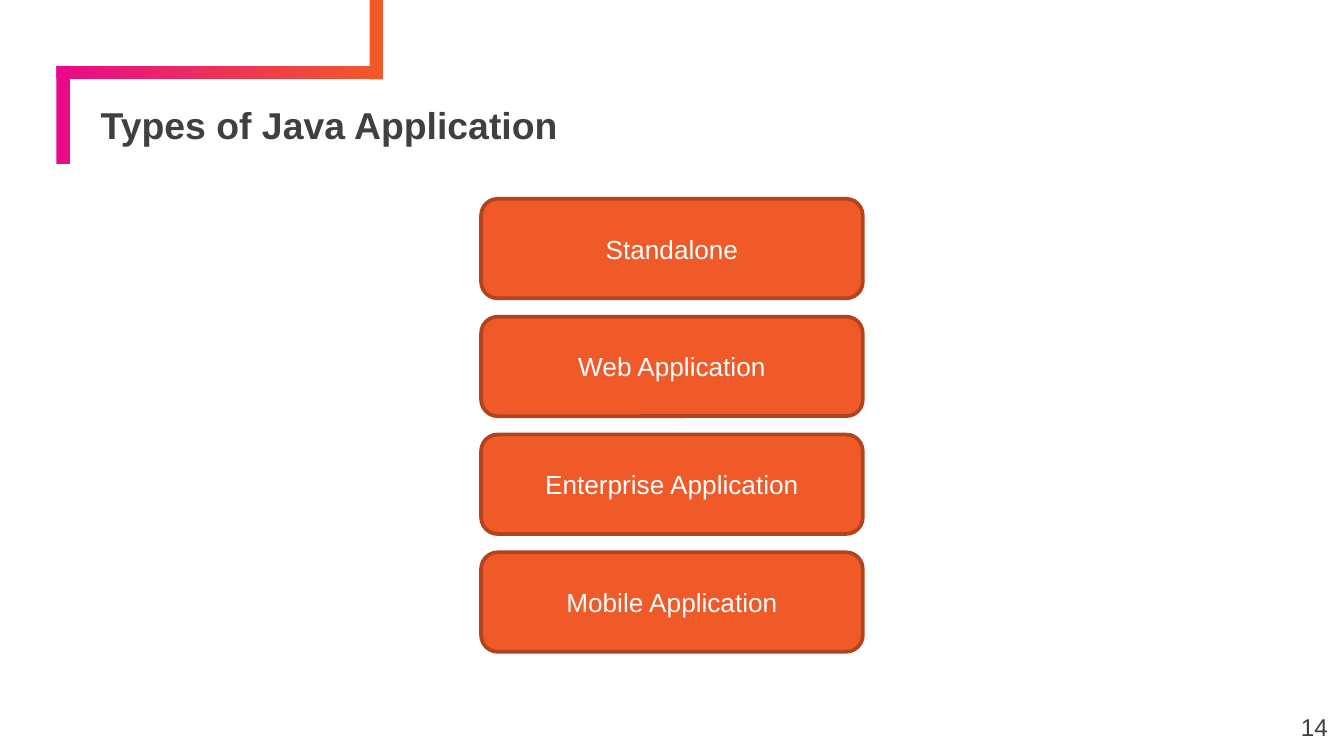
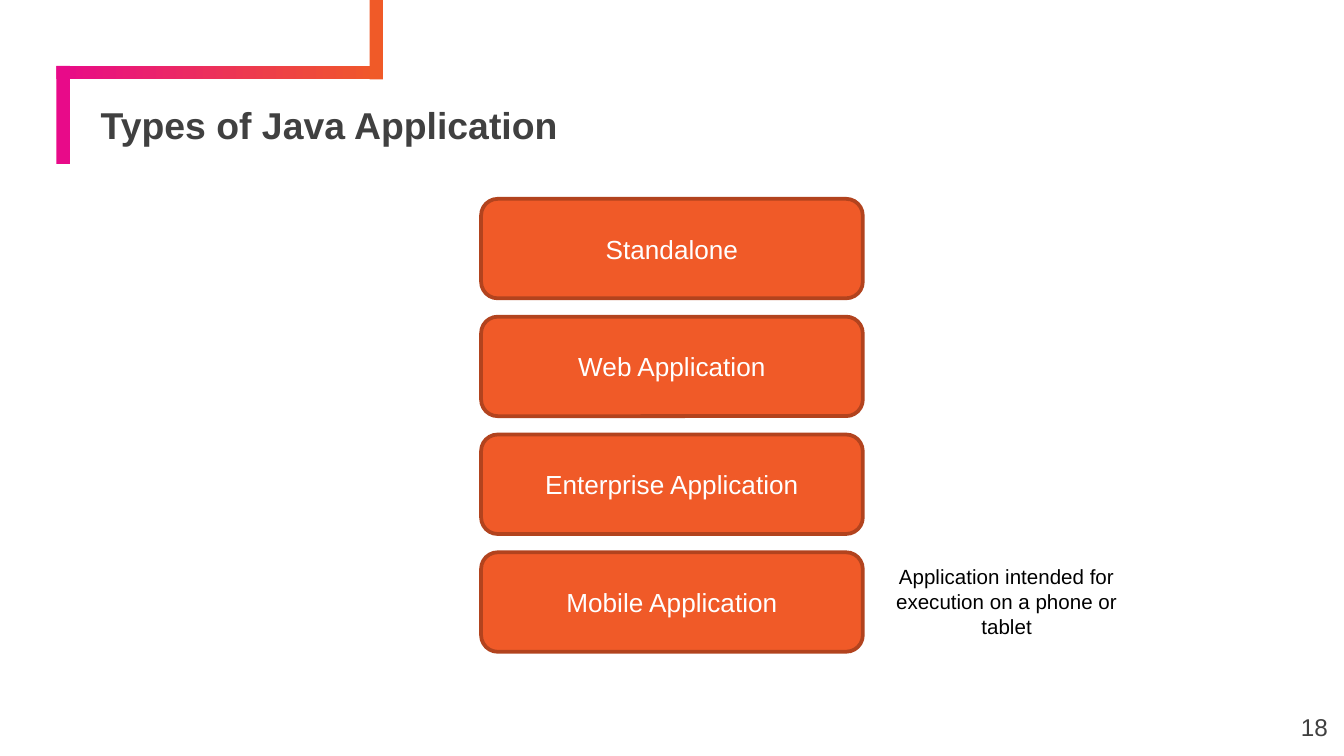
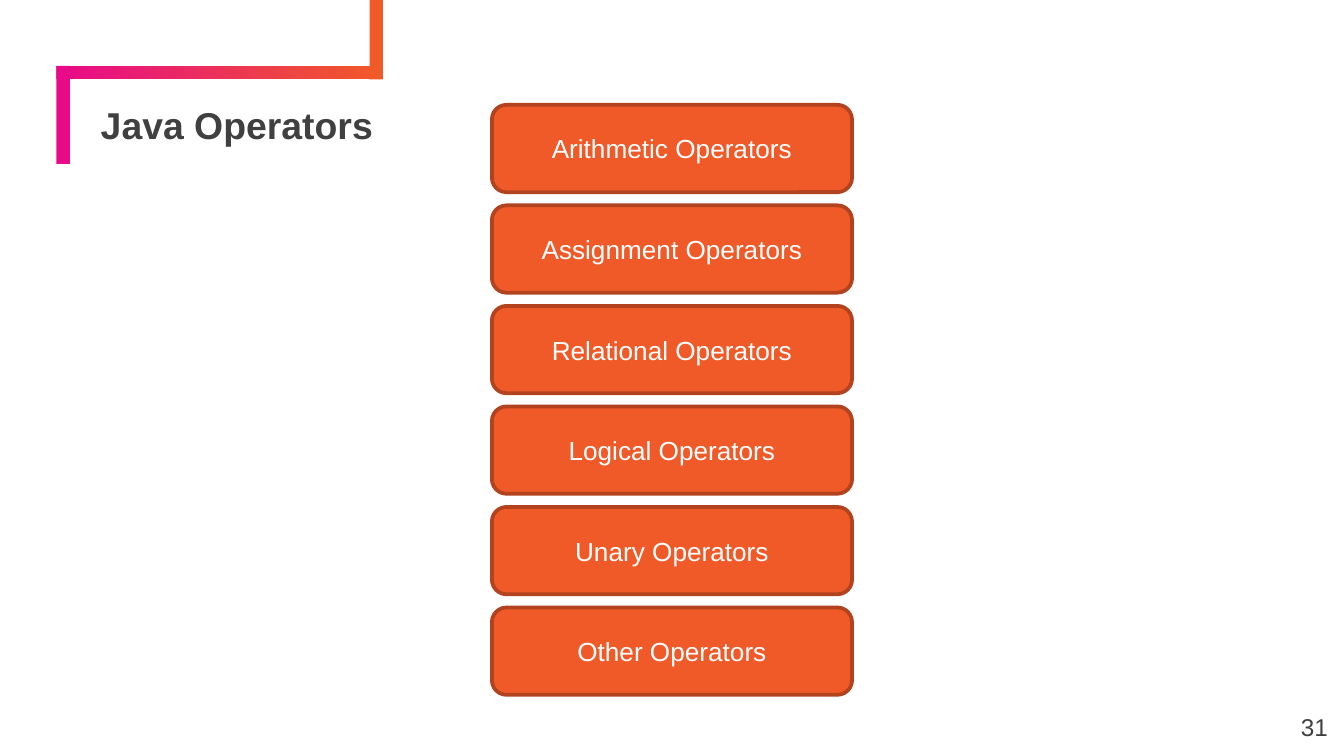
from dataclasses import dataclass

from pptx import Presentation
from pptx.dml.color import RGBColor
from pptx.enum.shapes import MSO_SHAPE as Shape
from pptx.enum.text import MSO_ANCHOR as Anchor, MSO_AUTO_SIZE as AutoSize, PP_ALIGN as Align
from pptx.util import Inches, Pt


@dataclass(frozen=True)
class Theme:
    font: str = "Arial"
    orange: str = "F05A28"
    rust: str = "B2431E"
    pink: str = "E80A89"
    grey: str = "404040"
    white: str = "FFFFFF"
    black: str = "000000"
    title_size: int = 20
    option_size: int = 14
    number_size: int = 13
    remark_size: int = 11
    outline: int = 2
    bar: float = 0.1
    tight_insets: tuple = (0.08, 0.04)
    normal_insets: tuple = (0.1, 0.05)


def rgb(value):
    return RGBColor.from_string(value)


def write(frame, text, *, font, size, color, insets, bold=False, align=Align.LEFT,
          anchor=Anchor.MIDDLE, spacing=None):
    frame.word_wrap = True
    frame.vertical_anchor = anchor
    frame.margin_left = frame.margin_right = Inches(insets[0])
    frame.margin_top = frame.margin_bottom = Inches(insets[1])
    paragraph = frame.paragraphs[0]
    paragraph.alignment = align
    if spacing:
        paragraph.line_spacing = spacing
    run = paragraph.add_run()
    run.text = text
    run.font.name = font
    run.font.size = Pt(size)
    run.font.bold = bold
    run.font.color.rgb = rgb(color)


class Deck:
    def __init__(self, theme):
        self.theme = theme
        self.presentation = Presentation()
        self.presentation.slide_width = Inches(10)
        self.presentation.slide_height = Inches(10) * 9 // 16
        self.slide = None

    def start(self, title, number):
        theme = self.theme
        self.slide = self.presentation.slides.add_slide(self.presentation.slide_layouts[6])
        self.corner()
        self.label(title, 0.67, 0.78, 9.03, 0.34, size=theme.title_size, color=theme.grey,
                   bold=True, spacing=0.9, insets=theme.tight_insets)
        self.label(str(number), 9.36, 5.19, 0.6, 0.43, size=theme.number_size,
                   color=theme.grey, align=Align.RIGHT, insets=theme.tight_insets)

    def shape(self, kind, left, top, width, height, shapes=None):
        shapes = self.slide.shapes if shapes is None else shapes
        shape = shapes.add_shape(kind, Inches(left), Inches(top), Inches(width), Inches(height))
        shape.shadow.inherit = False
        return shape

    def bar(self, left, top, width, height, *colors):
        bar = self.shape(Shape.RECTANGLE, left, top, width, height)
        bar.line.fill.background()
        if len(colors) == 1:
            bar.fill.solid()
            bar.fill.fore_color.rgb = rgb(colors[0])
        else:
            bar.fill.gradient()
            bar.fill.gradient_angle = 0
            for stop, color in zip(bar.fill.gradient_stops, colors):
                stop.color.rgb = rgb(color)

    def corner(self):
        theme = self.theme
        left, top, width = 0.42, 0.49, 2.43
        self.bar(left, top, width, theme.bar, theme.pink, theme.orange)
        self.bar(left, top, theme.bar, 0.73, theme.pink)
        self.bar(left + width - theme.bar, 0, theme.bar, top + theme.bar, theme.orange)

    def label(self, text, left, top, width, height, grow=False, **style):
        box = self.slide.shapes.add_textbox(
            Inches(left), Inches(top), Inches(width), Inches(height))
        write(box.text_frame, text, font=self.theme.font, **style)
        if grow:
            box.text_frame.auto_size = AutoSize.SHAPE_TO_FIT_TEXT

    def options(self, names, left, width, height, first_top, last_top, grouped=False):
        theme = self.theme
        shapes = self.slide.shapes
        if grouped:
            shapes = shapes.add_group_shape().shapes
        step = (last_top - first_top) / (len(names) - 1)
        for row, name in enumerate(names):
            option = self.shape(Shape.ROUNDED_RECTANGLE, left, first_top + row * step,
                                width, height, shapes)
            option.fill.solid()
            option.fill.fore_color.rgb = rgb(theme.orange)
            option.line.color.rgb = rgb(theme.rust)
            option.line.width = Pt(theme.outline)
            write(option.text_frame, name, font=theme.font, size=theme.option_size,
                  color=theme.white, align=Align.CENTER, insets=theme.normal_insets)

    def remark(self, text, left, top, width, height):
        self.label(text, left, top, width, height, grow=True, size=self.theme.remark_size,
                   color=self.theme.black, align=Align.CENTER, anchor=Anchor.TOP,
                   insets=self.theme.normal_insets)

    def application_types(self, number, grouped=False):
        self.start("Types of Java Application", number)
        names = ("Standalone", "Web Application", "Enterprise Application", "Mobile Application")
        self.options(names, 3.58, 2.84, 0.74, 1.48, 4.11, grouped)


def main():
    deck = Deck(Theme())

    deck.application_types(14)

    deck.application_types(18, grouped=True)
    deck.remark("Application intended for execution on a phone or tablet", 6.42, 4.15, 2.14, 0.66)

    deck.start("Java Operators", 31)
    families = ("Arithmetic", "Assignment", "Relational", "Logical", "Unary", "Other")
    deck.options([f"{family} Operators" for family in families], 3.66, 2.68, 0.65, 0.78, 4.52)

    deck.presentation.save("out.pptx")


if __name__ == "__main__":
    main()
